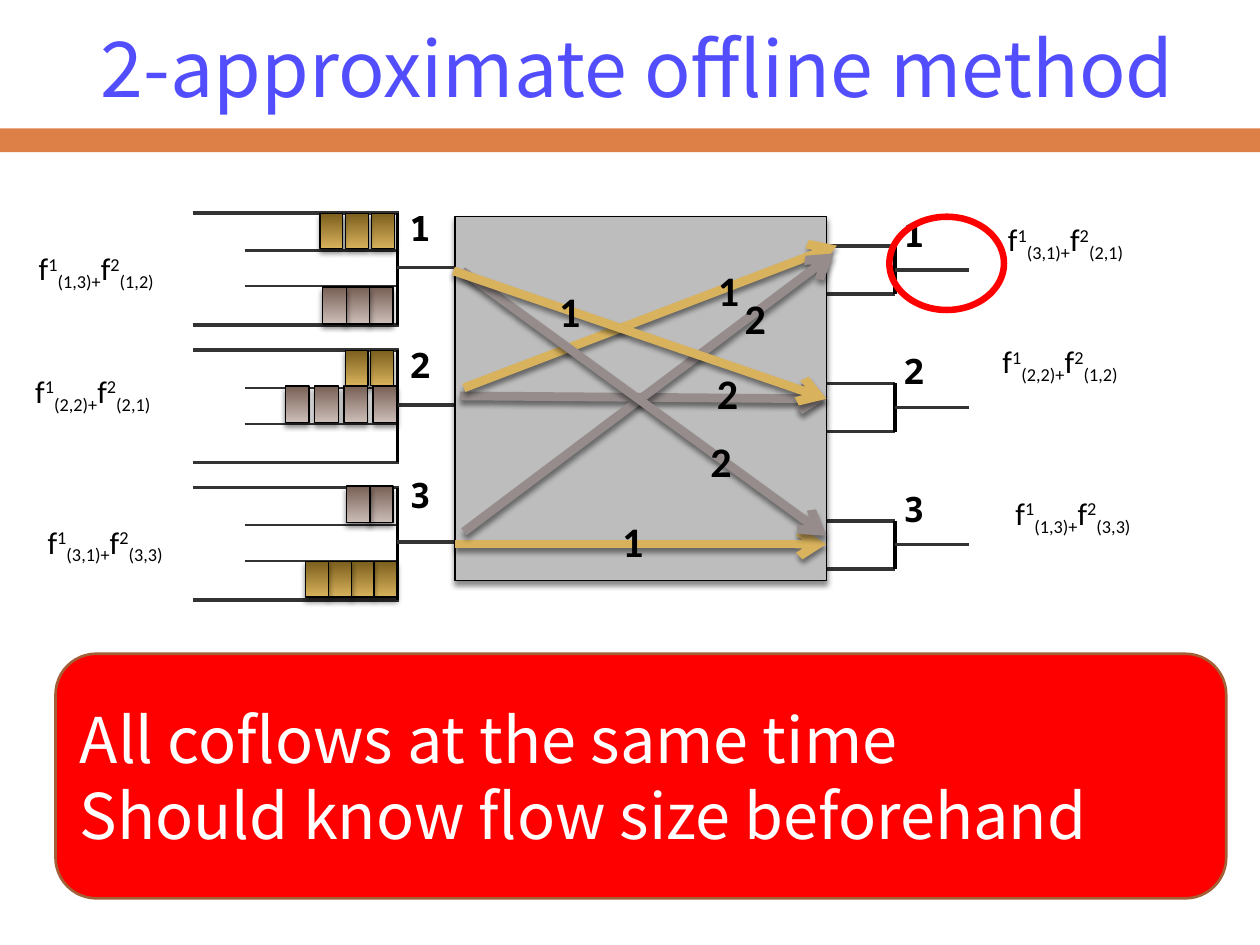
import dataclasses

import lxml.etree
import pptx
import pptx.dml.color
import pptx.enum.shapes
import pptx.enum.text
import pptx.oxml.ns
import pptx.util

Cm = pptx.util.Cm
Pt = pptx.util.Pt
Shapes = pptx.enum.shapes.MSO_SHAPE


@dataclasses.dataclass(frozen=True)
class Theme:
    """Colours, fonts and type sizes of the slide."""
    title: str = "534EFD"
    bar: str = "DD8047"
    black: str = "000000"
    rail: str = "333333"
    switch: str = "BDBDBD"
    red: str = "FF0000"
    callout_edge: str = "A35F35"
    white: str = "FFFFFF"
    gold: tuple = ("7C5F1E", "D8B25C")
    gray: tuple = ("775F55", "CCBEB8")
    gold_flow: str = "D8B25C"
    gray_flow: str = "968C8C"
    sans: str = "Noto Sans CJK SC"
    body: str = "Calibri"
    mono: str = "Noto Sans Mono"
    title_size: int = 44
    callout_size: int = 36
    flow_size: int = 24
    port_size: int = 20
    label_size: int = 18


THEME = Theme()
PITCH = 2.77


def rgb(color):
    """Return a colour object for a hex string."""
    return pptx.dml.color.RGBColor.from_string(color)


def write(para, text, *, size, font, color=THEME.black, bold=False, baseline=0):
    """Add one formatted span to a paragraph."""
    span = para.add_run()
    span.text = text
    span.font.size, span.font.name, span.font.bold = Pt(size), font, bold
    span.font.color.rgb = rgb(color)
    if baseline:
        span.font._element.set("baseline", str(baseline * 1000))


def add_box(page, left, top, width, height, wrap=True):
    """Add a text box and return its first paragraph."""
    box = page.shapes.add_textbox(Cm(left), Cm(top), Cm(width), Cm(height))
    box.text_frame.word_wrap = wrap
    box.text_frame.auto_size = pptx.enum.text.MSO_AUTO_SIZE.SHAPE_TO_FIT_TEXT
    return box.text_frame.paragraphs[0]


def set_effects(shape, shadow=False):
    """Give a shape an empty effect list or a soft drop shadow."""
    properties = shape._element.spPr
    tag = pptx.oxml.ns.qn
    effects = lxml.etree.SubElement(properties, tag("a:effectLst"))
    if shadow:
        outer = lxml.etree.SubElement(
            effects, tag("a:outerShdw"), blurRad="38100", dist="30480",
            dir="5400000", rotWithShape="0")
        color = lxml.etree.SubElement(outer, tag("a:srgbClr"), val=THEME.black)
        lxml.etree.SubElement(color, tag("a:alpha"), val="45000")


def add_shape(page, kind, left, top, width, height, fill=None, line=None,
              weight=0.79, shadow=False):
    """Add a preset shape with a plain, graded or empty fill."""
    shape = page.shapes.add_shape(kind, Cm(left), Cm(top), Cm(width), Cm(height))
    if isinstance(fill, tuple):
        shape.fill.gradient()
        shape.fill.gradient_angle = 0
        for stop, position, color in zip(shape.fill.gradient_stops, (0, 1), fill):
            stop.position = position
            stop.color.rgb = rgb(color)
    elif fill:
        shape.fill.solid()
        shape.fill.fore_color.rgb = rgb(fill)
    else:
        shape.fill.background()
    if line:
        shape.line.color.rgb = rgb(line)
        shape.line.width = Pt(weight)
    else:
        shape.line.fill.background()
    set_effects(shape, shadow)
    return shape


def add_line(page, start, end, color=THEME.rail, weight=2, arrow=False):
    """Add a straight line, or a shadowed arrow."""
    line = page.shapes.add_connector(
        pptx.enum.shapes.MSO_CONNECTOR.STRAIGHT, *map(Cm, (*start, *end)))
    line.line.color.rgb = rgb(color)
    line.line.width = Pt(weight)
    if arrow:
        lxml.etree.SubElement(line.line._get_or_add_ln(),
                              pptx.oxml.ns.qn("a:tailEnd"), type="arrow")
    set_effects(line, shadow=arrow)
    return line


def add_port_number(page, left, top, number):
    """Number a port."""
    para = add_box(page, left, top, 0.97, 1.12, wrap=False)
    write(para, str(number), size=THEME.port_size, font=THEME.mono, bold=True)


def add_input_port(page, left, top, number, number_top, queues):
    """Draw three stacked queues feeding one input of the switch."""
    spine, height = left + 4.12, 2.26
    for offset, inset, weight in ((0, 0, 2), (0.76, 1.04, 1.25),
                                  (1.48, 1.04, 1.25), (height, 0, 2)):
        add_line(page, (left + inset, top + offset),
                 (left + 4.16, top + offset), weight=weight)
    add_line(page, (spine, top), (spine, top + height), THEME.black)
    add_line(page, (spine, top + 1.1), (spine + 1.53, top + 1.1))
    add_port_number(page, spine, top + number_top, number)
    for fill, count, last, gap, middle in queues:
        width, height = (0.71, 0.46) if fill == THEME.gold else (0.74, 0.48)
        for index in range(count):
            center = left + last - index * gap
            block = add_shape(page, Shapes.RECTANGLE, center - width / 2,
                              top + middle - height / 2, width, height,
                              fill, THEME.black, shadow=True)
            block.rotation = 90


def add_output_port(page, left, top, number):
    """Draw one output of the switch."""
    spine, height = left + 1.86, 0.97
    for offset in (0, height):
        add_line(page, (left, top + offset), (spine, top + offset))
    add_line(page, (spine, top), (spine, top + height), THEME.black)
    add_line(page, (spine, top + 0.48), (spine + 1.5, top + 0.48))
    add_port_number(page, spine - 0.08, top - 0.8, number)


def add_switch(page, left, top, width, height):
    """Draw the switch with the flows crossing it."""
    switch = add_shape(page, Shapes.RECTANGLE, left, top, width, height,
                       THEME.switch, THEME.black, shadow=True)
    middle = (width, height / 2)
    flows = (
        (THEME.gray_flow, (0.1, 3.61), middle, "2", (5.03, 2.92)),
        (THEME.gold_flow, (0, 6.6), (width, 6.6), "1", (3.12, 5.89)),
        (THEME.gold_flow, (0.18, 3.45), (7.7, 0.58), "1", (5.05, 0.84)),
        (THEME.gray_flow, (0.18, 6.35), (7.64, 0.74), "2", (5.59, 1.4)),
        (THEME.gray_flow, (0.15, 1.09), (width, 6.43), "2", (4.9, 4.29)),
        (THEME.gold_flow, (-0.03, 1.09), middle, "1", (1.85, 1.27)),
    )
    for color, start, end, _, _ in flows:
        arrow = add_line(page, (left + start[0], top + start[1]),
                         (left + end[0], top + end[1]), color, 5, arrow=True)
        if end == middle:
            arrow.end_connect(switch, 3)
    for _, _, _, coflow, (across, down) in flows:
        para = add_box(page, left + across, top + down, 1.09, 1.27)
        write(para, coflow, size=THEME.flow_size, font=THEME.body, bold=True)


def add_flow_sum(page, left, top, first, second):
    """Write the sum of two coflows' flows at a port."""
    para = add_box(page, left, top, 3.56, 1.02)
    for text, baseline in (("f", 0), ("1", 30), (f"({first})+", -25),
                           ("f", 0), ("2", 30), (f"({second})", -25)):
        write(para, text, size=THEME.label_size, font=THEME.body, baseline=baseline)


def add_heading(page, left, top, width, height):
    """Place the title above its coloured bar."""
    title = page.shapes.title
    title.left, title.top, title.width, title.height = map(
        Cm, (left, top, width, height))
    frame = title.text_frame
    frame.auto_size = pptx.enum.text.MSO_AUTO_SIZE.NONE
    frame.vertical_anchor = pptx.enum.text.MSO_ANCHOR.MIDDLE
    para = frame.paragraphs[0]
    para.alignment = pptx.enum.text.PP_ALIGN.CENTER
    write(para, "2-approximate offline method", size=THEME.title_size,
          font=THEME.sans, color=THEME.title)
    add_shape(page, Shapes.RECTANGLE, 0, top + 2.23, 25.4, 0.48, THEME.bar)


def add_callout(page, left, top, width, height, lines):
    """Draw the rounded box with the method's limits."""
    box = add_shape(page, Shapes.ROUNDED_RECTANGLE, left, top, width, height,
                    THEME.red, THEME.callout_edge, 1.5)
    frame = box.text_frame
    frame.vertical_anchor = pptx.enum.text.MSO_ANCHOR.MIDDLE
    for index, text in enumerate(lines):
        para = frame.add_paragraph() if index else frame.paragraphs[0]
        para.alignment = pptx.enum.text.PP_ALIGN.LEFT
        write(para, text, size=THEME.callout_size, font=THEME.sans,
              color=THEME.white)


def main():
    """Build and save the slide."""
    deck = pptx.Presentation()
    deck.slide_width, deck.slide_height = Cm(25.4), Cm(19.05)
    page = deck.slides.add_slide(deck.slide_layouts[5])
    add_heading(page, 0.84, 0.36, 24.03, 1.96)
    gold, gray = THEME.gold, THEME.gray
    inputs = (
        (-0.25, ((gold, 3, 3.83, 0.52, 0.37), (gray, 3, 3.79, 0.47, 1.87))),
        (-0.25, ((gold, 2, 3.81, 0.51, 0.36), (gray, 4, 3.87, 0.59, 1.09))),
        (-0.41, ((gray, 2, 3.79, 0.46, 0.34), (gold, 4, 3.88, 0.46, 1.85))),
    )
    for index, (number_top, queues) in enumerate(inputs):
        add_input_port(page, 3.89, 4.29 + index * PITCH, index + 1,
                       number_top, queues)
        add_output_port(page, 16.18, 4.96 + index * PITCH, index + 1)
    add_switch(page, 9.17, 4.37, 7.49, 7.34)
    for flow_sum in ((0.53, 4.9, "1,3", "1,2"), (0.46, 7.37, "2,2", "2,1"),
                     (0.71, 10.41, "3,1", "3,3"), (20.07, 4.32, "3,1", "2,1"),
                     (19.96, 6.78, "2,2", "1,2"), (20.22, 9.83, "1,3", "3,3")):
        add_flow_sum(page, *flow_sum)
    add_shape(page, Shapes.OVAL, 17.93, 4.37, 2.31, 1.88,
              line=THEME.red, weight=3.75)
    add_callout(page, 1.12, 13.18, 23.6, 4.93,
                ("All coflows at the same time", "Should know flow size beforehand"))
    deck.save("out.pptx")


if __name__ == "__main__":
    main()
